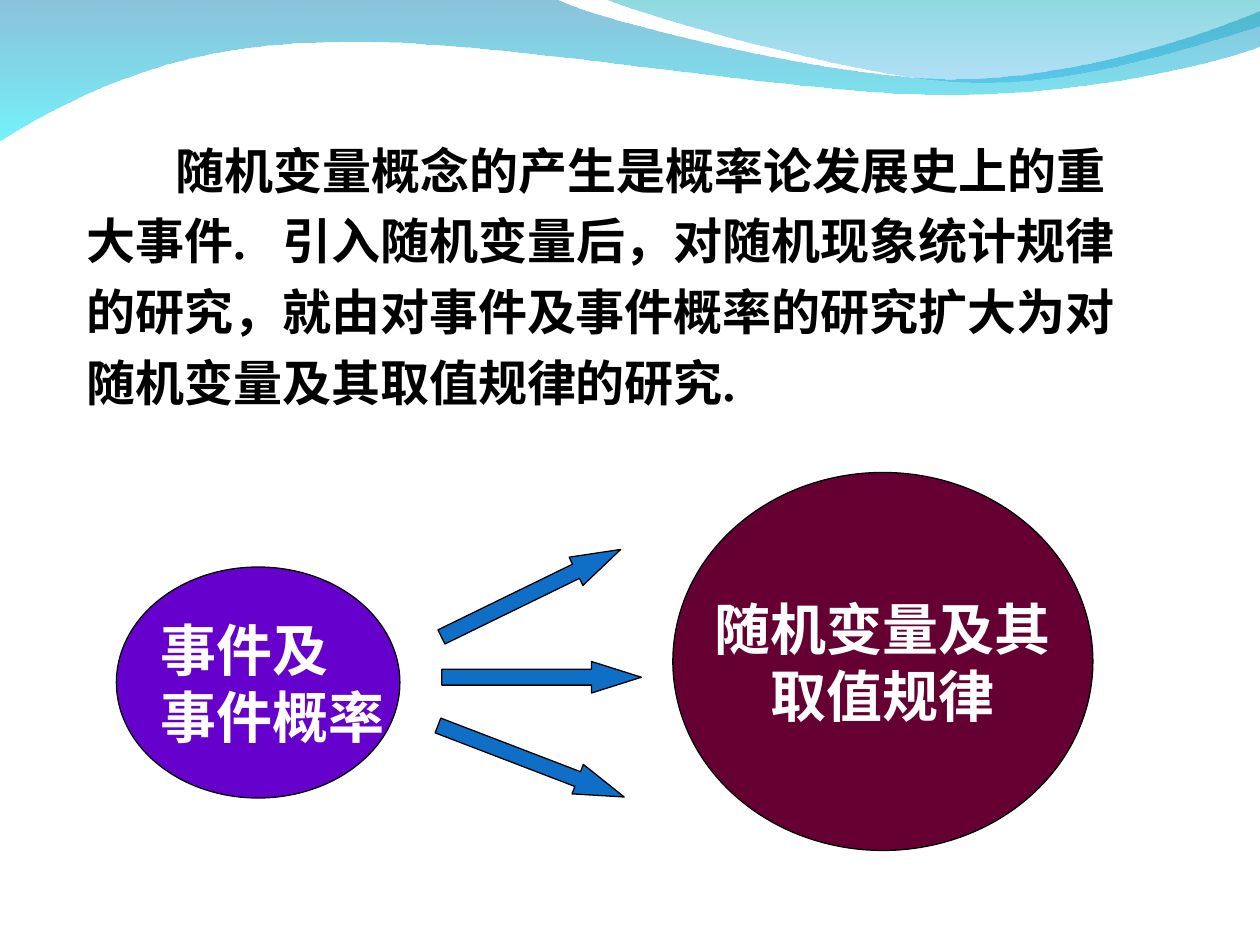
from pptx import Presentation
from pptx import util as u
from pptx.dml.color import RGBColor
from pptx.enum import shapes, text
from pptx.oxml import parse_xml
from pptx.oxml.ns import nsdecls, qn

Pt = u.Pt
FONT = "Times New Roman"
COLORS = {
    "black": "000000", "white": "FFFFFF", "violet": "6600CC",
    "wine": "660033", "blue": "0F6FC6",
    "navy": "0079AF", "cyan": "00EBF8", "teal": "00ADB6", "sky": "009BE5",
}

# Wave outlines in points: two numbers end a line, six make a cubic curve.
BACK = [
    (0, -1), (317, -1), (343, 12, 478, 45, 546, 45),
    (614, 45, 690, 19, 720, 6), (721, 26), (708, 32, 626, 55, 537, 54),
    (448, 54, 275, 20, 185, 24), (93, 25, 33, 60, -1, 81), (0, -1),
]
FRONT = [
    (345, -1), (366, 8, 491, 45, 554, 47), (616, 50, 692, 23, 720, 15),
    (720, 0), (345, -1),
]


def rgb(name):
    return RGBColor.from_string(COLORS[name])


def bend(wave, parts, ends):
    """Change the straight sides that stand for curves into cubic curves."""
    left, top = (min(axis) for axis in zip(*ends))
    sides = list(wave._element.spPr.iter(qn("a:lnTo")))
    for side, part in zip(sides, parts[1:]):
        if len(part) == 6:
            pts = "".join(f'<a:pt x="{x - left}" y="{y - top}"/>'
                          for x, y in zip(part[::2], part[1::2]))
            curve = parse_xml(f'<a:cubicBezTo {nsdecls("a")}>{pts}</a:cubicBezTo>')
            side.getparent().replace(side, curve)


def add_wave(slide, parts, stops):
    """Draw a wave with a downward gradient of (colour, opacity %) stops."""
    ends = [part[-2:] for part in parts]
    pen = slide.shapes.build_freeform(*ends[0], scale=Pt(1))
    pen.add_line_segments(ends[1:], close=True)
    wave = pen.convert_to_shape()
    bend(wave, parts, ends)
    wave.shadow.inherit = False
    wave.line.fill.background()
    wave.fill.gradient()
    wave.fill.gradient_angle = 270
    for stop, (name, _) in zip(wave.fill.gradient_stops, stops):
        stop.color.rgb = rgb(name)
    tints = list(wave._element.spPr.iter(qn("a:srgbClr")))
    for tint, (_, alpha) in zip(tints, stops):
        tint.append(parse_xml(f'<a:alpha {nsdecls("a")} val="{alpha * 1000}"/>'))


def add_shape(slide, kind, box, fill):
    shape = slide.shapes.add_shape(kind, *map(Pt, box))
    shape.shadow.inherit = False
    shape.fill.solid()
    shape.fill.fore_color.rgb = rgb(fill)
    shape.line.color.rgb = rgb("black")
    shape.line.width = Pt(0.75)
    return shape


def add_arrow(slide, left, top, turn):
    arrow = add_shape(slide, shapes.MSO_SHAPE.RIGHT_ARROW, (left, top, 114, 18), "blue")
    arrow.adjustments[0] = 0.5
    arrow.adjustments[1] = 1.58
    arrow.rotation = turn


def style(frame, size, color, align=text.PP_ALIGN.LEFT, wrap=False):
    frame.word_wrap = wrap
    for para in frame.paragraphs:
        para.alignment = align
        for run in para.runs:
            run.font.name = FONT
            run.font.size = Pt(size)
            run.font.bold = True
            run.font.color.rgb = rgb(color)


def add_intro(slide):
    """Add the indented paragraph, with a wide gap between its sentences."""
    frame = slide.shapes.add_textbox(*map(Pt, (42.5, 70, 607, 168.5))).text_frame
    para = frame.paragraphs[0]
    words = (
        "随机变量概念的产生是概率论发展史上的重大事件.",
        " ",
        "引入随机变量后，对随机现象统计规律的研究，就由对事件及事件概率的"
        "研究扩大为对随机变量及其取值规律的研究.",
    )
    for part in words:
        para.add_run().text = part
    style(frame, 28, "black", wrap=True)
    para.runs[1].font._element.set("spc", "1400")
    para.line_spacing = 1.2
    props = para._p.get_or_add_pPr()
    props.set("marL", "0")
    props.set("indent", str(Pt(51)))


def main():
    prs = Presentation()
    prs.slide_width, prs.slide_height = Pt(720), Pt(540)
    slide = prs.slides.add_slide(prs.slide_layouts[6])
    add_wave(slide, BACK, [("navy", 45), ("cyan", 55)])
    add_wave(slide, FRONT, [("teal", 45), ("sky", 30)])
    add_intro(slide)

    oval = shapes.MSO_SHAPE.OVAL
    add_shape(slide, oval, (66.5, 324, 162, 132), "violet")
    start = slide.shapes.add_textbox(*map(Pt, (84.5, 348, 142.5, 84))).text_frame
    start.text = "事件及\n事件概率"
    style(start, 32, "white")

    for left, top, turn in ((252.5, 378, 0), (246.5, 330, 334), (246.5, 426, 21)):
        add_arrow(slide, left, top, turn)

    goal = add_shape(slide, oval, (384.5, 270, 240, 216), "wine").text_frame
    goal.text = "随机变量及其\n取值规律"
    goal.vertical_anchor = text.MSO_ANCHOR.MIDDLE
    style(goal, 32, "white", text.PP_ALIGN.CENTER)
    prs.save("out.pptx")


if __name__ == "__main__":
    main()
